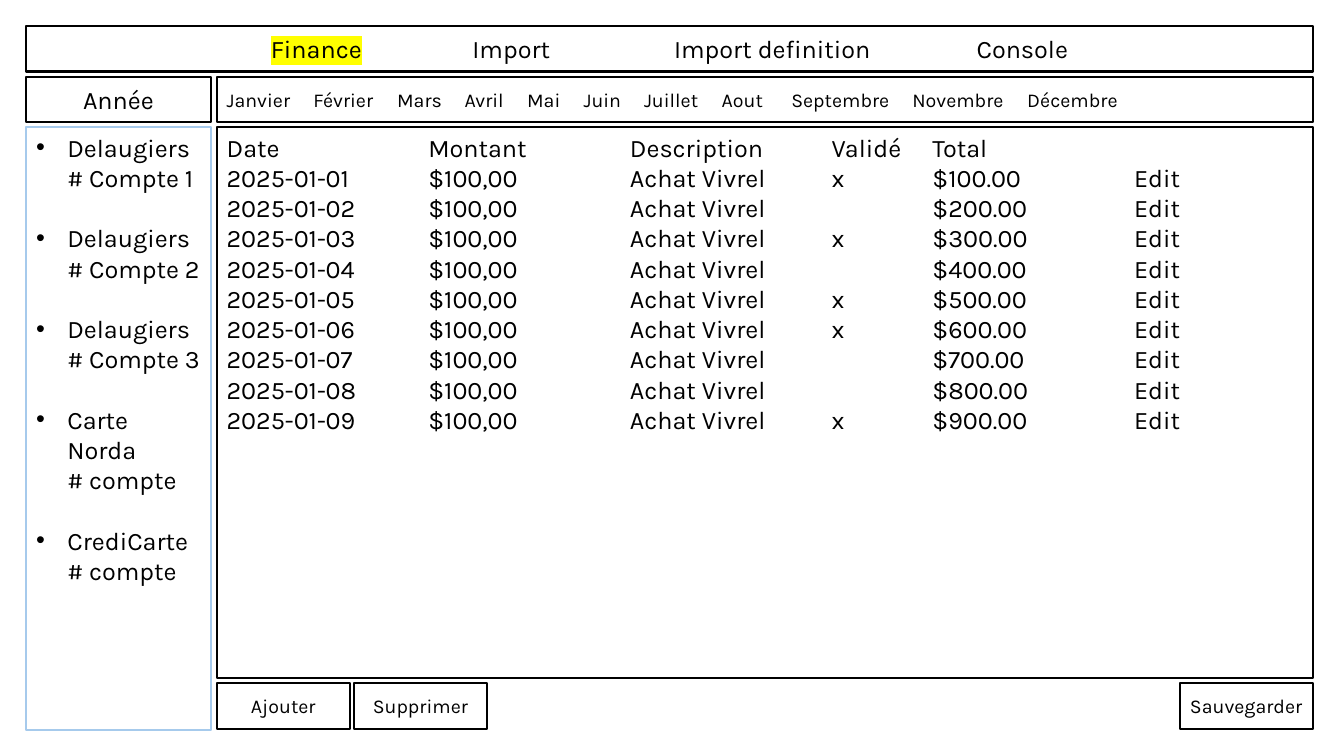
import pptx
import pptx.util
import pptx.dml.color
import pptx.enum.shapes
import pptx.enum.text
from lxml import etree
from pptx.oxml.ns import qn

Inches, Pt = pptx.util.Inches, pptx.util.Pt
ALIGN, ANCHOR = pptx.enum.text.PP_ALIGN, pptx.enum.text.MSO_ANCHOR

# Content
MENU = ["Finance", "Import", "Import definition", "Console"]
MONTHS = ["Janvier", "Février", "Mars", "Avril", "Mai", "Juin", "Juillet",
          "Aout", "Septembre", "Novembre", "Décembre"]
ACCOUNTS = [("Delaugiers", "# Compte 1"), ("Delaugiers", "# Compte 2"),
            ("Delaugiers", "# Compte 3"), ("Carte Norda", "# compte"),
            ("CrediCarte", "# compte")]
HEADER = ["Date", "Montant", "Description", "Validé", "Total"]
VALIDATED = {1, 3, 5, 6, 9}
ENTRIES = [[f"2025-01-{day:02}", "$100,00", "Achat Vivrel",
            "x" if day in VALIDATED else "", f"${day}00.00", "Edit"]
           for day in range(1, 10)]

# Tab stops, in inches from the text edge
MENU_TABS = [2, 4, 7]
MONTH_TABS = [0.86, 1.69, 2.36, 2.98, 3.54, 4.14, 4.91, 5.6, 6.8, 7.94]
ENTRY_TABS = [2, 4, 6, 7, 9]

# Layout, in inches
LEFT, MAIN, RIGHT = 0.26, 2.15, 13.02
SIDE_W, MAIN_W, BAR_H = 1.83, RIGHT - MAIN, 0.45
MENU_Y, MONTH_Y, BODY_Y, BUTTON_Y = 0.26, 0.76, 1.26, 6.78
BUTTON_W, BUTTON_STEP = 1.32, 1.36
BULLET_INDENT = 0.31
BUTTONS = [("Ajouter", MAIN), ("Supprimer", MAIN + BUTTON_STEP),
           ("Sauvegarder", RIGHT - BUTTON_W)]


def rgb(value):
    return pptx.dml.color.RGBColor.from_string(value)


def box(x, y, w, h, lines, size=18, line="000000", center=False, middle=True, tabs=()):
    """Outlined panel with one paragraph per line; returns its paragraphs."""
    sp = s.shapes.add_shape(pptx.enum.shapes.MSO_SHAPE.RECTANGLE,
                            Inches(x), Inches(y), Inches(w), Inches(h))
    sp.shadow.inherit = False
    sp.fill.solid()
    sp.fill.fore_color.rgb = rgb("FFFFFF")
    sp.line.color.rgb = rgb(line)
    sp.line.width = Pt(1.5)
    tf = sp.text_frame
    tf.word_wrap = True
    tf.vertical_anchor = ANCHOR.MIDDLE if middle else ANCHOR.TOP
    for i, text in enumerate(lines):
        p = tf.paragraphs[0] if i == 0 else tf.add_paragraph()
        p.text = text
        p.alignment = ALIGN.CENTER if center else ALIGN.LEFT
        for r in p.runs:
            style(r, size)
        if tabs:
            stops = etree.SubElement(p._p.get_or_add_pPr(), qn("a:tabLst"))
            for pos in tabs:
                etree.SubElement(stops, qn("a:tab"), pos=str(Inches(pos)), algn="l")
    return tf.paragraphs


def style(r, size):
    for name, value in {"size": Pt(size), "name": "Karla"}.items():
        setattr(r.font, name, value)
    r.font.color.rgb = rgb("000000")


def highlight(r, color):
    mark = etree.Element(qn("a:highlight"))
    etree.SubElement(mark, qn("a:srgbClr"), val=color)
    r._r.rPr.find(qn("a:latin")).addprevious(mark)


def bullet(p):
    pPr = p._p.get_or_add_pPr()
    pPr.set("marL", str(Inches(BULLET_INDENT)))
    pPr.set("indent", str(-Inches(BULLET_INDENT)))
    etree.SubElement(pPr, qn("a:buFont"), typeface="Arial")
    etree.SubElement(pPr, qn("a:buChar"), char="•")


prs = pptx.Presentation()
prs.slide_width, prs.slide_height = Inches(13.33), Inches(7.5)
s = prs.slides.add_slide(prs.slide_layouts[6])

# Account list
for p in box(LEFT, BODY_Y, SIDE_W, 5.98, ["\v".join(a) for a in ACCOUNTS],
             line="A6CAEC", middle=False):
    p.space_after = Pt(21.6)
    bullet(p)

# Year and months
box(MAIN, MONTH_Y, MAIN_W, BAR_H, ["\t".join(MONTHS)], size=14, tabs=MONTH_TABS)
box(LEFT, MONTH_Y, SIDE_W, BAR_H, ["Année"], center=True)

# Transactions
box(MAIN, BODY_Y, MAIN_W, 5.47, ["\t".join(row) for row in [HEADER] + ENTRIES],
    middle=False, tabs=ENTRY_TABS)

# Menu with the active page highlighted
menu = box(LEFT, MENU_Y, RIGHT - LEFT, BAR_H, [MENU[0]], center=True, tabs=MENU_TABS)[0]
highlight(menu.runs[0], "FFFF00")
r = menu.add_run()
r.text = "\t" + "\t".join(MENU[1:])
style(r, 18)

# Buttons
for label, x in BUTTONS:
    box(x, BUTTON_Y, BUTTON_W, BAR_H, [label], size=14, center=True)

prs.save("out.pptx")
